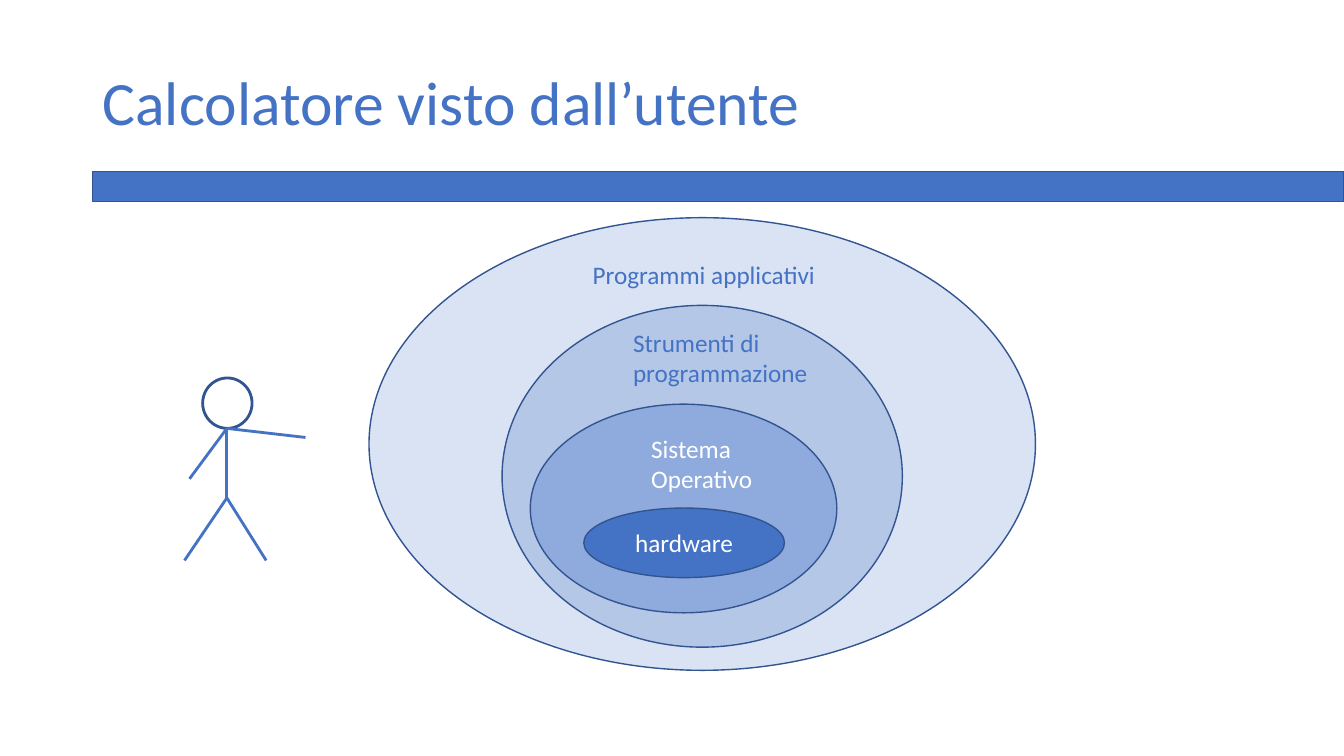
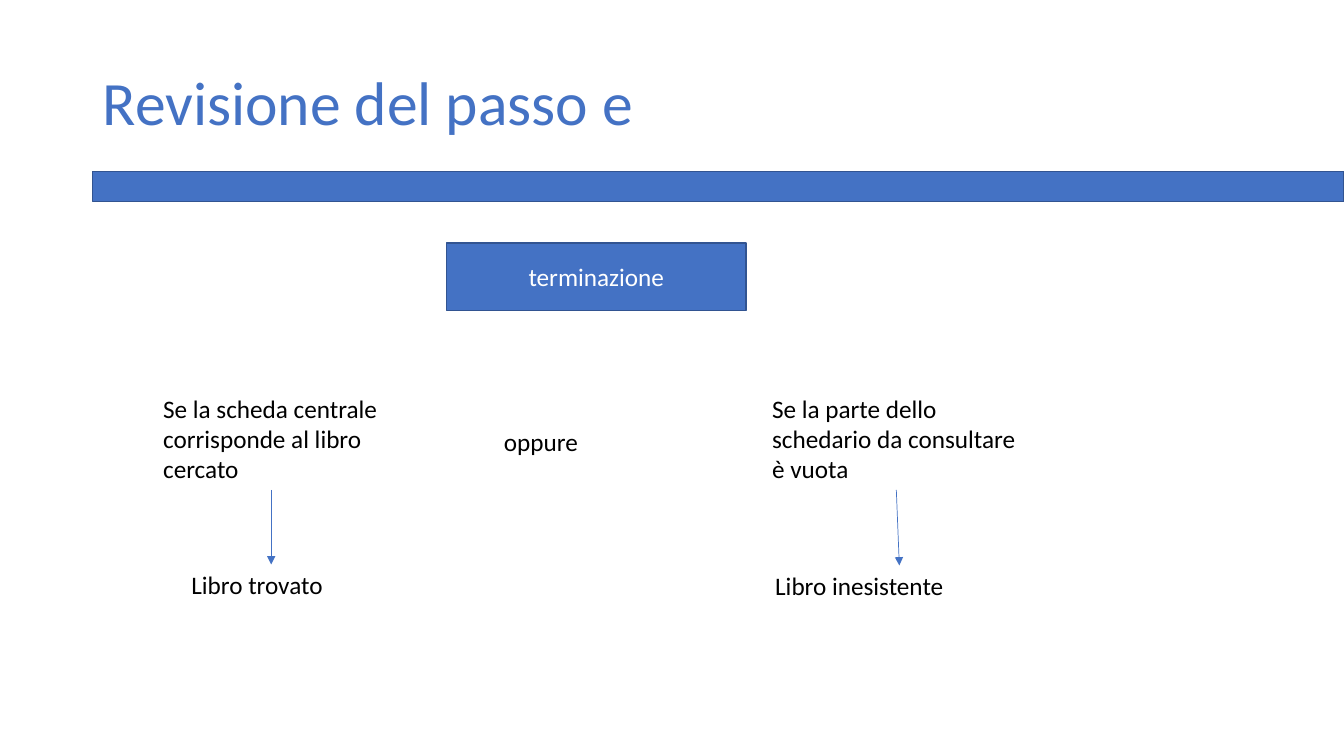
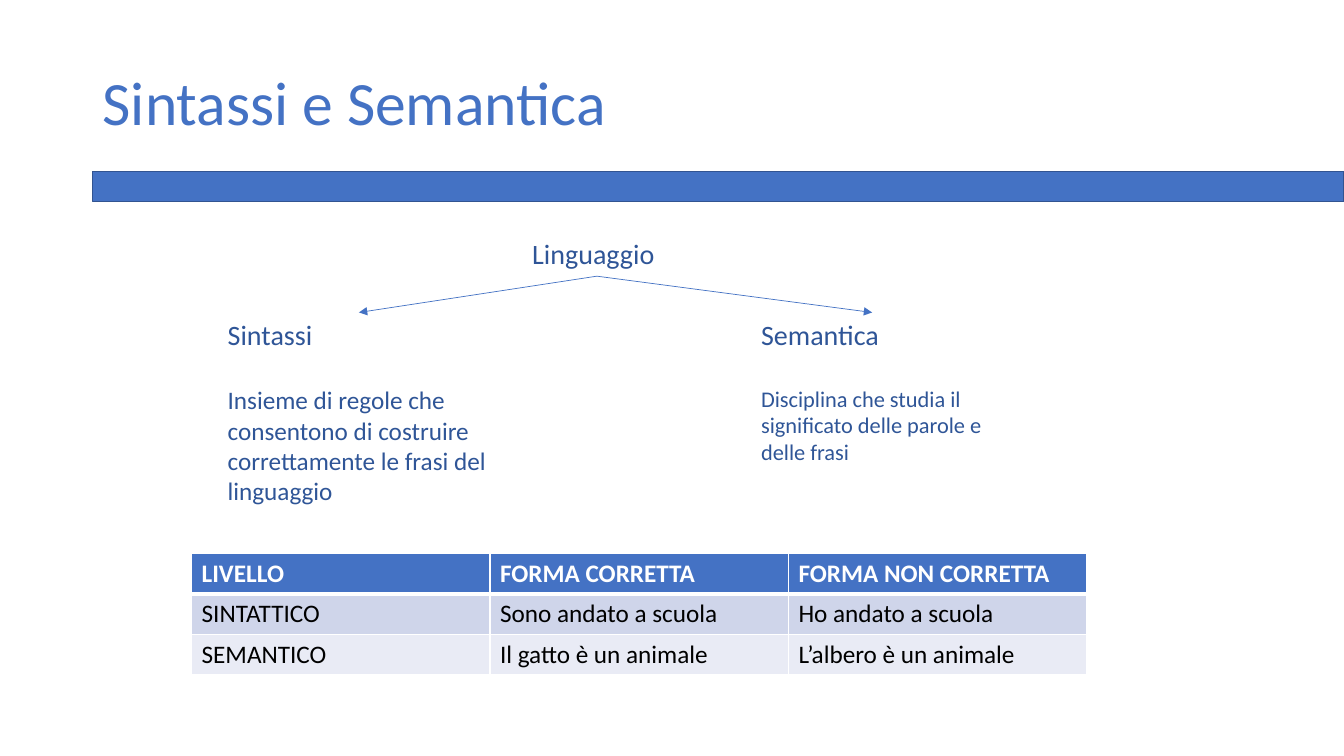
from pptx import Presentation
from pptx.dml.color import RGBColor
from pptx.enum.shapes import MSO_CONNECTOR, MSO_SHAPE
from pptx.enum.text import MSO_ANCHOR as Anchor, PP_ALIGN as Align
from pptx.oxml import parse_xml
from pptx.oxml.ns import nsdecls, qn
from pptx.util import Emu, Pt

# Page and palette
EMU_PER_PX = 9144
PAGE_WIDTH, PAGE_HEIGHT = 1333, 750
MARGIN = 92
FONT = "Calibri"
BLUE = RGBColor(0x44, 0x72, 0xC4)
DARK_BLUE = RGBColor(0x2F, 0x55, 0x97)
OUTLINE = RGBColor(0x32, 0x54, 0x91)
PALE_BLUE = RGBColor(0xDA, 0xE3, 0xF3)
LIGHT_BLUE = RGBColor(0xB4, 0xC7, 0xE7)
MID_BLUE = RGBColor(0x8F, 0xAA, 0xDC)
ROW_DARK = RGBColor(0xCF, 0xD5, 0xEA)
ROW_LIGHT = RGBColor(0xE9, 0xEB, 0xF5)
WHITE = RGBColor(0xFF, 0xFF, 0xFF)
BLACK = RGBColor(0, 0, 0)


def px(*lengths):
    return [Emu(length * EMU_PER_PX) for length in lengths]


def style_font(para, size, color, bold=False):
    font = para.font
    font.name, font.size, font.bold = FONT, Pt(size), bold
    font.color.rgb = color


def add_text(slide, area, text, color, size=18):
    box = slide.shapes.add_textbox(*px(*area))
    box.text_frame.word_wrap = True
    para = box.text_frame.paragraphs[0]
    para.text = text
    style_font(para, size, color)
    return box


def add_shape(slide, kind, area, fill=None, text="", line_width=1):
    shape = slide.shapes.add_shape(kind, *px(*area))
    shape.shadow.inherit = False
    if fill is None:
        shape.fill.background()
    else:
        shape.fill.solid()
        shape.fill.fore_color.rgb = fill
    shape.line.color.rgb = OUTLINE
    shape.line.width = Pt(line_width)
    if text:
        shape.text_frame.vertical_anchor = Anchor.MIDDLE
        para = shape.text_frame.paragraphs[0]
        para.text = text
        para.alignment = Align.CENTER
        style_font(para, 18, WHITE)


def add_line(slide, start, end, width=2, arrow=False):
    line = slide.shapes.add_connector(MSO_CONNECTOR.STRAIGHT, *px(*start, *end))
    line.line.color.rgb = BLUE
    line.line.width = Pt(width)
    properties = line.element.spPr
    if arrow:
        head = parse_xml(f'<a:tailEnd {nsdecls("a")} type="triangle"/>')
        properties.find(qn("a:ln")).append(head)
    properties.append(parse_xml(f'<a:effectLst {nsdecls("a")}/>'))


def add_arrow(slide, start, end):
    add_line(slide, start, end, width=0.5, arrow=True)


def add_page(deck, title):
    """A blank slide with the shared band and title."""
    slide = deck.slides.add_slide(deck.slide_layouts[6])
    add_shape(slide, MSO_SHAPE.RECTANGLE, (MARGIN, 170, PAGE_WIDTH - MARGIN, 30), BLUE)
    box = add_text(slide, (MARGIN, 40, 1150, 130), title, BLUE, 44)
    box.text_frame.vertical_anchor = Anchor.MIDDLE
    box.text_frame.paragraphs[0].line_spacing = 0.9
    return slide


def add_definition(slide, area, term, meaning, size):
    box = add_text(slide, area, term, DARK_BLUE, 20)
    para = box.text_frame.add_paragraph()
    para.text = meaning
    para.space_before = Pt(24)
    style_font(para, size, DARK_BLUE)


def set_borders(cell, **widths):
    """Give the sides L, R, T and B white lines of these widths in points."""
    properties = cell._tc.get_or_add_tcPr()
    for index, (side, width) in enumerate(widths.items()):
        properties.insert(index, parse_xml(
            f'<a:ln{side} {nsdecls("a")} w="{Pt(width)}"><a:solidFill>'
            f'<a:srgbClr val="{WHITE}"/></a:solidFill></a:ln{side}>'))


def add_table(slide, left, top, column_width, row_height, rows):
    column_count = len(rows[0])
    area = px(left, top, column_width * column_count, row_height * len(rows))
    table = slide.shapes.add_table(len(rows), column_count, *area).table
    row_styles = [(BLUE, WHITE), (ROW_DARK, BLACK), (ROW_LIGHT, BLACK)]
    for row, (texts, (fill, color)) in enumerate(zip(rows, row_styles)):
        for column, text in enumerate(texts):
            cell = table.cell(row, column)
            cell.fill.solid()
            cell.fill.fore_color.rgb = fill
            para = cell.text_frame.paragraphs[0]
            para.text = text
            style_font(para, 18, color, bold=row == 0)
            set_borders(cell, L=1, R=1, T=3 if row == 1 else 1, B=3 if row == 0 else 1)


def add_user_figure(slide):
    neck, hip = (225, 425), (225, 494)
    add_shape(slide, MSO_SHAPE.OVAL, (201, 375, 49, 50), line_width=2)
    add_line(slide, neck, hip)
    for hand in [(303, 434), (188, 475)]:
        add_line(slide, neck, hand)
    for foot in [(183, 556), (264, 556)]:
        add_line(slide, hip, foot)


def build_layers(deck):
    slide = add_page(deck, "Calcolatore visto dall’utente")
    add_user_figure(slide)
    # Nested layers, from the outside in
    layers = [
        ((366, 216, 661, 449), PALE_BLUE, (578, 252, 304, 40), "Programmi applicativi", BLUE),
        ((498, 303, 397, 339), LIGHT_BLUE, (618, 320, 225, 71), "Strumenti di programmazione", BLUE),
        ((526, 401, 304, 207), MID_BLUE, (636, 425, 125, 71), "Sistema Operativo", WHITE),
    ]
    for oval, fill, label_area, label, color in layers:
        add_shape(slide, MSO_SHAPE.OVAL, oval, fill)
        add_text(slide, label_area, label, color)
    add_shape(slide, MSO_SHAPE.OVAL, (579, 504, 199, 69), BLUE, "hardware")


def build_termination(deck):
    slide = add_page(deck, "Revisione del passo e")
    add_shape(slide, MSO_SHAPE.RECTANGLE, (443, 241, 297, 67), BLUE, "terminazione")
    add_text(slide, (490, 418, 176, 40), "oppure", BLACK)
    # Each condition leads down to its outcome
    add_text(slide, (152, 385, 234, 101), "Se la scheda centrale corrisponde al libro cercato", BLACK)
    add_arrow(slide, (269, 486), (269, 560))
    add_text(slide, (180, 560, 180, 40), "Libro trovato", BLACK)
    add_text(slide, (756, 385, 266, 101), "Se la parte dello schedario da consultare è vuota", BLACK)
    add_arrow(slide, (889, 486), (892, 561))
    add_text(slide, (759, 561, 266, 40), "Libro inesistente", BLACK)


def build_language(deck):
    slide = add_page(deck, "Sintassi e Semantica")
    # Language splits into syntax and semantics
    add_text(slide, (518, 230, 149, 44), "Linguaggio", DARK_BLUE, 20)
    for target in [(356, 310), (865, 310)]:
        add_arrow(slide, (592, 274), target)
    add_definition(
        slide, (216, 310, 280, 199), "Sintassi",
        "Insieme di regole che consentono di costruire correttamente le frasi del linguaggio", 18)
    add_definition(
        slide, (745, 310, 241, 158), "Semantica",
        "Disciplina che studia il significato delle parole e delle frasi", 16)
    add_table(slide, 190, 549, 296, 40, [
        ["LIVELLO", "FORMA CORRETTA", "FORMA NON CORRETTA"],
        ["SINTATTICO", "Sono andato a scuola", "Ho andato a scuola"],
        ["SEMANTICO", "Il gatto è un animale", "L’albero è un animale"],
    ])


def main():
    deck = Presentation()
    deck.slide_width, deck.slide_height = px(PAGE_WIDTH, PAGE_HEIGHT)
    build_layers(deck)
    build_termination(deck)
    build_language(deck)
    deck.save("out.pptx")


if __name__ == "__main__":
    main()
